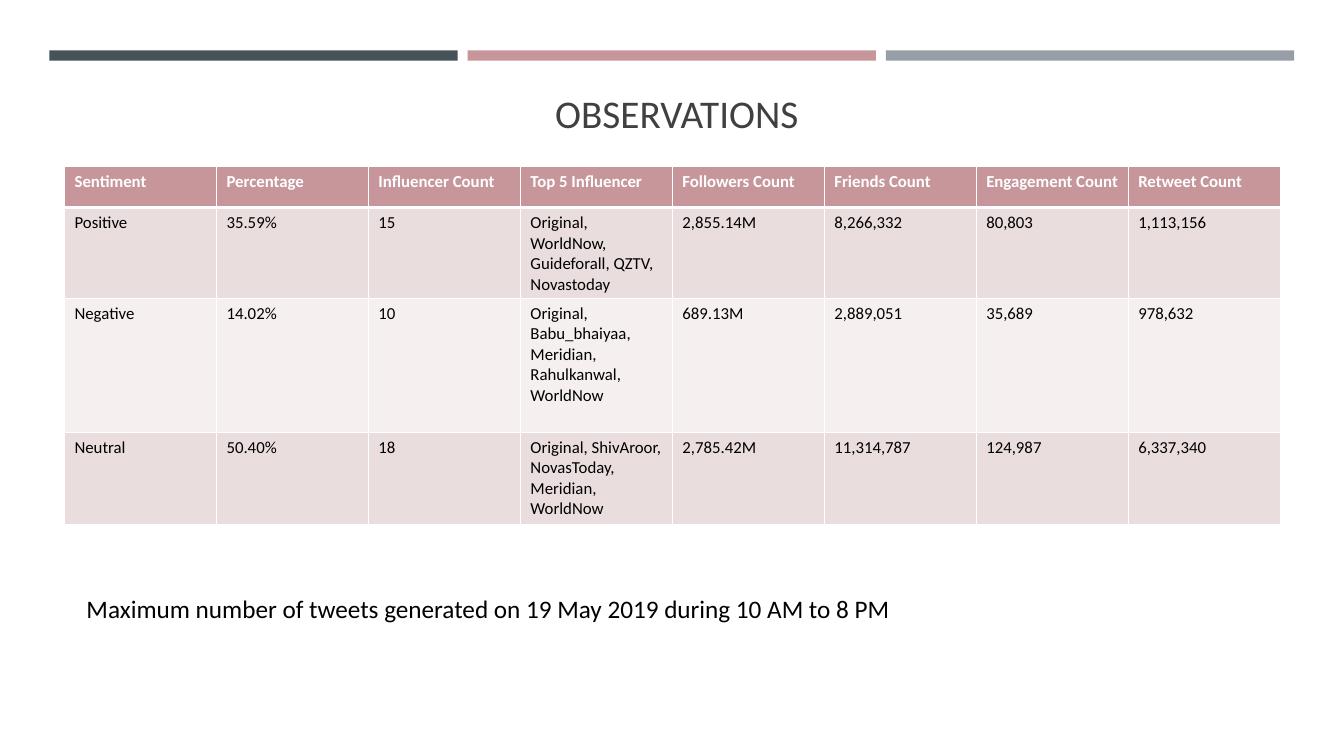
from lxml.etree import SubElement
from pptx import Presentation
from pptx.dml.color import RGBColor
from pptx.enum.shapes import MSO_SHAPE as Shape
from pptx.enum.text import MSO_ANCHOR as Anchor, PP_ALIGN as Align
from pptx.oxml.ns import qn
from pptx.util import Inches, Pt

SLATE = RGBColor(0x46, 0x53, 0x59)
ROSE = RGBColor(0xC6, 0x96, 0x9B)
STEEL = RGBColor(0x96, 0x9F, 0xA7)
ROSE_TINT = RGBColor(0xEA, 0xDD, 0xDE)
ROSE_PALE = RGBColor(0xF5, 0xEF, 0xEF)
CHARCOAL = RGBColor(0x40, 0x40, 0x40)
BLACK = RGBColor(0, 0, 0)
WHITE = RGBColor(0xFF, 0xFF, 0xFF)

OBSERVATIONS = [
    ["Sentiment", "Percentage", "Influencer Count", "Top 5 Influencer",
     "Followers Count", "Friends Count", "Engagement Count", "Retweet Count"],
    ["Positive", "35.59%", "15", "Original, WorldNow, Guideforall, QZTV, Novastoday",
     "2,855.14M", "8,266,332", "80,803", "1,113,156"],
    ["Negative", "14.02%", "10", "Original, Babu_bhaiyaa, Meridian, Rahulkanwal, WorldNow",
     "689.13M", "2,889,051", "35,689", "978,632"],
    ["Neutral", "50.40%", "18", "Original, ShivAroor, NovasToday, Meridian, WorldNow",
     "2,785.42M", "11,314,787", "124,987", "6,337,340"],
]
ROW_HEIGHTS = [2.46, 5.4, 7.98, 5.46]
ROW_FILLS = [ROSE, ROSE_TINT, ROSE_PALE, ROSE_TINT]


class SlideBuilder:
    """Draws styled elements on a slide divided into 80 columns and 45 rows."""

    font = "Calibri"

    def __init__(self, presentation):
        self.column = presentation.slide_width / 80
        self.row = presentation.slide_height / 45
        self.slide = presentation.slides.add_slide(presentation.slide_layouts[6])

    def box(self, left, top, width, height):
        return (round(left * self.column), round(top * self.row),
                round(width * self.column), round(height * self.row))

    def style_text(self, text_frame, text, size, color, bold=False):
        text_frame.word_wrap = True
        text_frame.text = text
        for run in text_frame.paragraphs[0].runs:
            run.font.name = self.font
            run.font.size = Pt(size)
            run.font.bold = bold
            run.font.color.rgb = color

    def bar(self, box, color):
        shape = self.slide.shapes.add_shape(Shape.RECTANGLE, *self.box(*box))
        shape.shadow.inherit = False
        shape.fill.solid()
        shape.fill.fore_color.rgb = color
        shape.line.fill.background()

    def text(self, box, text, size, color, align=Align.LEFT, anchor=Anchor.TOP):
        text_frame = self.slide.shapes.add_textbox(*self.box(*box)).text_frame
        self.style_text(text_frame, text, size, color)
        text_frame.vertical_anchor = anchor
        text_frame.paragraphs[0].alignment = align

    def border(self, cell, side, width):
        line = SubElement(cell._tc.get_or_add_tcPr(), qn(f"a:ln{side}"), w=str(Pt(width)))
        fill = SubElement(line, qn("a:solidFill"))
        SubElement(fill, qn("a:srgbClr"), val=str(WHITE))

    def table(self, left, top, width, rows, heights, fills):
        box = self.box(left, top, width, sum(heights))
        table = self.slide.shapes.add_table(len(rows), len(rows[0]), *box).table
        for index, (values, height, fill) in enumerate(zip(rows, heights, fills)):
            table.rows[index].height = round(height * self.row)
            header = index == 0
            for cell, value in zip(table.rows[index].cells, values):
                self.style_text(cell.text_frame, value, 12, WHITE if header else BLACK, header)
                for side in "LRTB":
                    thick = (header and side == "B") or (index == 1 and side == "T")
                    self.border(cell, side, 3 if thick else 1)
                cell.fill.solid()
                cell.fill.fore_color.rgb = fill


def main():
    presentation = Presentation()
    presentation.slide_width = Inches(13.33)
    presentation.slide_height = Inches(7.5)
    builder = SlideBuilder(presentation)
    for index, color in enumerate([SLATE, ROSE, STEEL]):
        builder.bar((2.94 + index * 24.9, 3, 24.3, 0.62), color)
    builder.text((3.84, 4.62, 72.36, 3.78), " OBSERVATIONS", 28, CHARCOAL,
                 Align.CENTER, Anchor.BOTTOM)
    builder.table(3.84, 9.9, 72.36, OBSERVATIONS, ROW_HEIGHTS, ROW_FILLS)
    builder.text((4.56, 35.04, 53.64, 2.4),
                 "Maximum number of tweets generated on 19 May 2019 during 10 AM to 8 PM",
                 18, BLACK)
    presentation.save("out.pptx")


if __name__ == "__main__":
    main()
